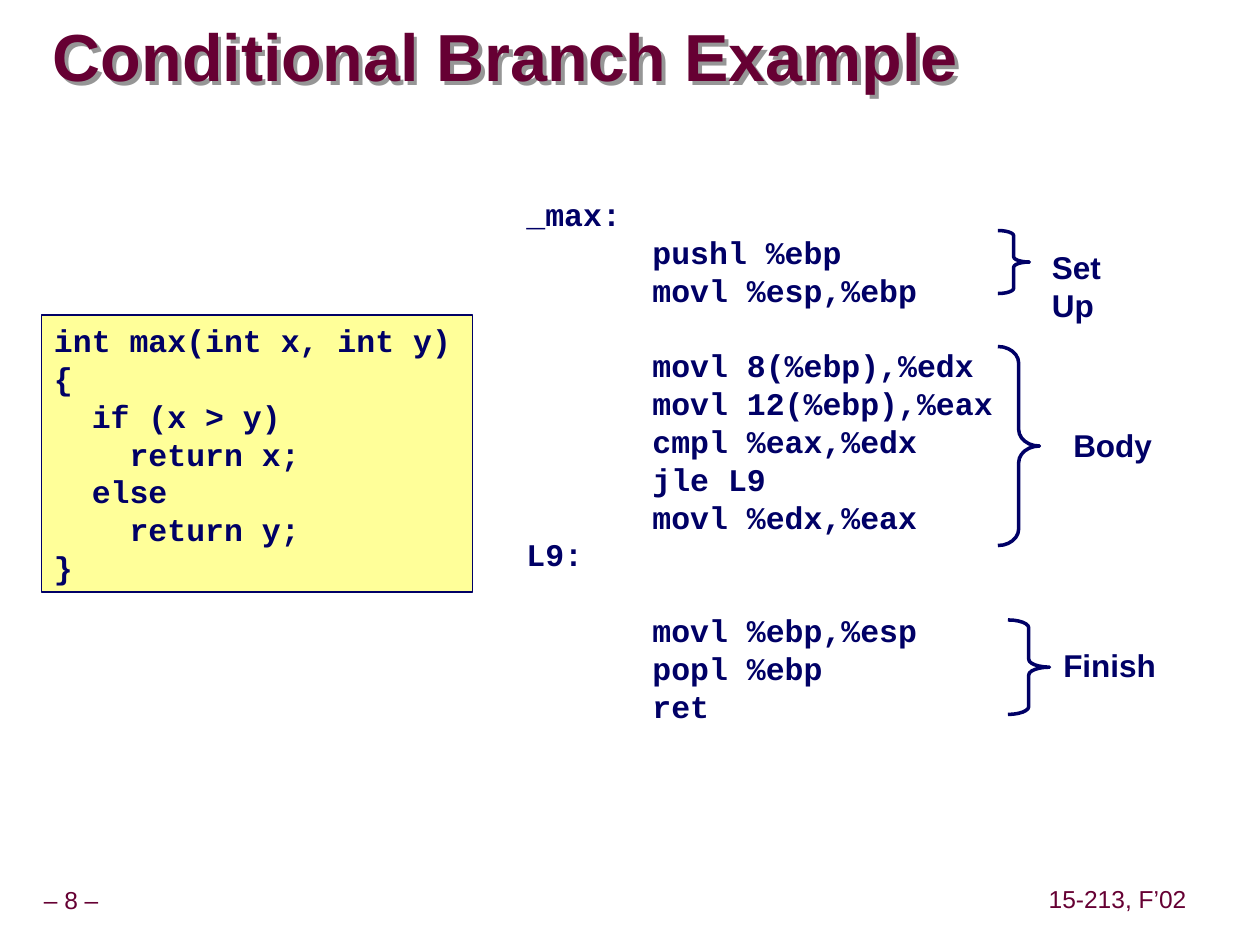
from lxml import etree
from pptx import Presentation
from pptx import util as u
from pptx.dml.color import RGBColor
from pptx.enum import shapes, text
from pptx.oxml.ns import qn

WIDTH, HEIGHT = 10, 7.5
COLORS = {"maroon": "660033", "navy": "000066", "cream": "FFFF99", "shadow": "969696"}
CODE, SANS = "Courier New", "Arial"
LINE_PITCH = 21.6

SOURCE = """int max(int x, int y)
{
  if (x > y)
    return x;
  else
    return y;
}"""

# Each block of assembly is set apart by one empty line's worth of spacing.
ASSEMBLY = [
    ["_max:", "\tpushl %ebp", "\tmovl %esp,%ebp"],
    ["\tmovl 8(%ebp),%edx", "\tmovl 12(%ebp),%eax", "\tcmpl %eax,%edx",
     "\tjle L9", "\tmovl %edx,%eax", "L9:"],
    ["\tmovl %ebp,%esp", "\tpopl %ebp", "\tret"],
]

# Brace box, label, label box
STAGES = [
    ((7.92, 1.83, 0.25, 0.5), "Set\nUp", (8.25, 1.92, 0.59, 0.7)),
    ((7.92, 2.75, 0.33, 1.58), "Body", (8.42, 3.33, 0.84, 0.4)),
    ((8, 4.92, 0.33, 0.75), "Finish", (8.34, 5.08, 0.95, 0.4)),
]


def color(name):
    return RGBColor.from_string(COLORS[name])


def inches(box):
    return [u.Inches(length) for length in box]


def set_margins(frame, side, top):
    frame.margin_left = frame.margin_right = u.Inches(side)
    frame.margin_top = frame.margin_bottom = u.Inches(top)


def add_unwrapped_frame(page, box):
    frame = page.shapes.add_textbox(*inches(box)).text_frame
    frame.word_wrap = False
    frame.auto_size = text.MSO_AUTO_SIZE.SHAPE_TO_FIT_TEXT
    return frame


def format_font(para, font, size, shade, bold=True):
    for span in para.runs:
        span.font.name, span.font.size, span.font.bold = font, u.Pt(size), bold
        span.font.color.rgb = color(shade)


def write_lines(frame, content, font):
    set_margins(frame, 0.1, 0.05)
    frame.vertical_anchor = text.MSO_ANCHOR.TOP
    frame.text = content
    for para in frame.paragraphs:
        para.alignment = text.PP_ALIGN.LEFT
        para.line_spacing = u.Pt(LINE_PITCH)
        format_font(para, font, 18, "navy")


def add_title(page, box):
    title = page.shapes.title
    title.left, title.top, title.width, title.height = inches(box)
    title.fill.background()
    frame = title.text_frame
    frame.text = "Conditional Branch Example"
    frame.vertical_anchor = text.MSO_ANCHOR.MIDDLE
    set_margins(frame, 0, 0)
    para = frame.paragraphs[0]
    para.alignment = text.PP_ALIGN.LEFT
    para.line_spacing = 0.87
    format_font(para, SANS, 38, "maroon")
    # On a shape without fill the shadow falls from its text.
    effects = etree.SubElement(title._element.spPr, qn("a:effectLst"))
    shadow = etree.SubElement(effects, qn("a:outerShdw"), dist=str(u.Pt(3)),
                              dir="2700000", algn="tl", rotWithShape="0")
    etree.SubElement(shadow, qn("a:srgbClr"), val=COLORS["shadow"])


def add_source_panel(page, box):
    panel = page.shapes.add_shape(shapes.MSO_SHAPE.RECTANGLE, *inches(box))
    panel.shadow.inherit = False
    panel.fill.solid()
    panel.fill.fore_color.rgb = color("cream")
    panel.line.color.rgb = color("navy")
    panel.line.width = u.Pt(1)
    write_lines(panel.text_frame, SOURCE, CODE)


def add_assembly(page, box):
    frame = page.shapes.add_textbox(*inches(box)).text_frame
    frame.word_wrap = True
    write_lines(frame, "\n".join(line for block in ASSEMBLY for line in block), CODE)
    for para in frame.paragraphs:
        tabs = etree.SubElement(para._p.get_or_add_pPr(), qn("a:tabLst"))
        etree.SubElement(tabs, qn("a:tab"), pos=str(u.Inches(1)), algn="l")
    start = 0
    for block in ASSEMBLY[:-1]:
        start += len(block)
        frame.paragraphs[start].space_before = u.Pt(LINE_PITCH)


def add_stage(page, brace_box, label, label_box):
    brace = page.shapes.add_shape(shapes.MSO_SHAPE.RIGHT_BRACE, *inches(brace_box))
    brace.shadow.inherit = False
    brace.fill.background()
    brace.line.color.rgb = color("navy")
    brace.line.width = u.Pt(2)
    width, height = brace_box[2:]
    brace.adjustments[0] = height / 12 / width  # curl is a twelfth of the height
    write_lines(add_unwrapped_frame(page, label_box), label, SANS)


def add_footer(page, content, box):
    frame = add_unwrapped_frame(page, box)
    frame.vertical_anchor = text.MSO_ANCHOR.MIDDLE
    set_margins(frame, 0.05, 0.05)
    frame.text = content
    para = frame.paragraphs[0]
    para.alignment = text.PP_ALIGN.CENTER
    para.line_spacing = 0.9
    format_font(para, SANS, 14, "maroon", bold=False)


def main():
    deck = Presentation()
    deck.slide_width, deck.slide_height = u.Inches(WIDTH), u.Inches(HEIGHT)
    page = deck.slides.add_slide(deck.slide_layouts[5])
    add_footer(page, "– 8 –", (-0.09, 7, 1.31, 0.31))
    add_footer(page, "15-213, F’02", (8.27, 6.99, 1.2, 0.31))
    add_title(page, (0.42, 0.17, 8.06, 0.63))
    add_source_panel(page, (0.33, 2.5, 3.42, 2.2))
    add_assembly(page, (4.08, 1.5, 4.17, 4.3))
    for stage in STAGES:
        add_stage(page, *stage)
    deck.save("out.pptx")


if __name__ == "__main__":
    main()
